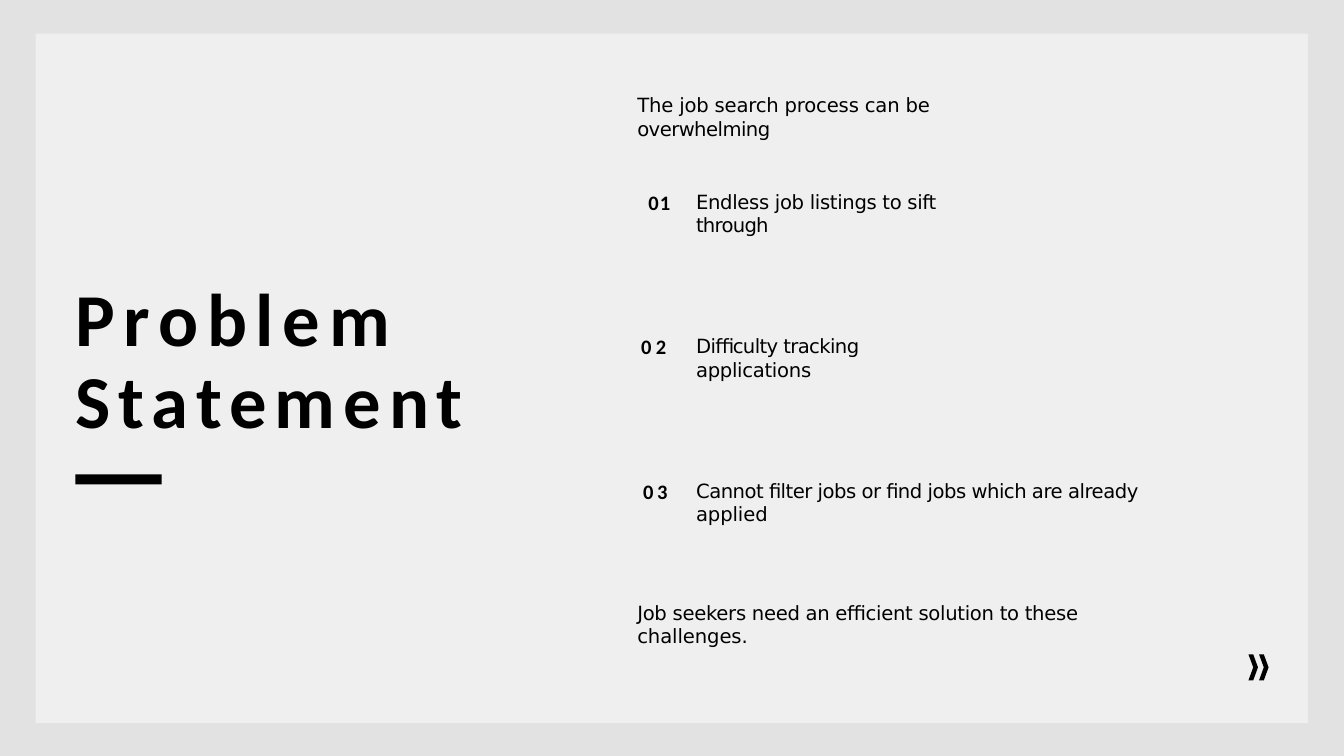
from pptx import Presentation
from pptx import util as u
from pptx.dml.color import RGBColor
from pptx.enum import shapes, text

BORDER = RGBColor(0xE2, 0xE2, 0xE2)
PANEL = RGBColor(0xEF, 0xEF, 0xEF)
INK = RGBColor(0, 0, 0)
HEADING_FONT = "Calibri"
BODY_FONT = "DejaVu Sans"

TEXT_LEFT = 24.06
ITEM_LEFT = 26.28
NUMBER_RIGHT = 25.6
FIRST_ROW, ROW_PITCH = 7.14, 5.46

# Text is a list of (words, letter spacing in points).
TITLE = [("Problem ", 9.4), ("Statement", 8.7)]
OPENING = [("The job search process can be ", -0.2), ("overwhelming", -0.6)]
CLOSING = [("Job seekers need an efficient solution to these ", -0.3),
           ("challenges.", -0.1)]
# number, its left edge, item, item width
PROBLEMS = [
    ([("01", 1.1)], 24.48,
     [("Endless job listings to sift ", -0.35), ("through", -0.8)], 11.7),
    ([("02", 4.8)], 24.2,
     [("Difficulty tracking ", -0.65), ("applications", -0.3)], 10.5),
    ([("03", 3.8)], 24.28,
     [("Cannot filter jobs or find jobs which are already ", -0.5),
      ("applied", -0.1)], 19.2),
]


def write(box, pieces, *, size, font=BODY_FONT, bold=False,
          before=1.0, line=None, inset=0.03):
    frame = box.text_frame
    frame.word_wrap = True
    frame.auto_size = text.MSO_AUTO_SIZE.NONE
    frame.vertical_anchor = text.MSO_ANCHOR.TOP
    frame.margin_left = u.Cm(0.03)
    frame.margin_right = frame.margin_bottom = 0
    frame.margin_top = u.Cm(inset)
    para = frame.paragraphs[0]
    para.alignment = text.PP_ALIGN.LEFT
    para.space_before = u.Pt(before)
    if line:
        para.line_spacing = u.Pt(line)
    for words, spacing in pieces:
        span = para.add_run()
        span.text = words
        span.font.name = font
        span.font.size = u.Pt(size)
        span.font.bold = bold
        span.font.color.rgb = INK
        span.font._element.set("spc", str(round(spacing * 100)))


class SlideBuilder:
    def __init__(self, deck):
        self.slide = deck.slides.add_slide(deck.slide_layouts[5])
        fill = self.slide.background.fill
        fill.solid()
        fill.fore_color.rgb = BORDER

    def paint(self, shape, color):
        shape.fill.solid()
        shape.fill.fore_color.rgb = color
        shape.line.fill.background()
        shape.shadow.inherit = False

    def rectangle(self, left, top, width, height, color):
        shape = self.slide.shapes.add_shape(
            shapes.MSO_SHAPE.RECTANGLE,
            *map(u.Cm, (left, top, width, height)))
        self.paint(shape, color)

    def title(self, pieces, left, top, width, height):
        """Format the title and bring it in front of what is drawn so far."""
        box = self.slide.shapes.title
        box.left, box.top, box.width, box.height = map(
            u.Cm, (left, top, width, height))
        write(box, pieces, size=80, font=HEADING_FONT, bold=True,
              before=10.2, line=87.8, inset=0.36)
        self.slide.shapes._spTree.append(box._element)

    def label(self, pieces, left, top, width, **style):
        box = self.slide.shapes.add_textbox(
            *map(u.Cm, (left, top, width, 0.98)))
        write(box, pieces, **style)

    def chevrons(self, left, top, count=2, step=0.4):
        """Draw a row of right-pointing chevrons as one shape."""
        outline = [(0.36, 0.49), (0.18, 0), (0, 0),
                   (0.18, 0.49), (0, 0.98), (0.18, 0.98)]
        builder = None
        for index in range(count):
            points = [(u.Cm(left + index * step + x), u.Cm(top + y))
                      for x, y in outline]
            if builder is None:
                builder = self.slide.shapes.build_freeform(*points[0])
            else:
                builder.move_to(*points[0])
            builder.add_line_segments(points[1:], close=True)
        self.paint(builder.convert_to_shape(), INK)


def main():
    deck = Presentation()
    deck.slide_width, deck.slide_height = u.Cm(50.8), u.Cm(28.58)
    page = SlideBuilder(deck)

    page.rectangle(1.35, 1.27, 48.1, 26.06, PANEL)
    page.title(TITLE, 2.82, 10.21, 15.29, 6.55)
    page.rectangle(2.85, 17.93, 3.26, 0.38, INK)

    page.label(OPENING, TEXT_LEFT, 3.49, 16.08, size=21)
    for row, (number, left, item, width) in enumerate(PROBLEMS):
        top = FIRST_ROW + row * ROW_PITCH
        page.label(number, left, top, NUMBER_RIGHT - left, size=22,
                   font=HEADING_FONT, bold=True)
        page.label(item, ITEM_LEFT, top, width, size=21)
    page.label(CLOSING, TEXT_LEFT, 22.68, 20.75, size=21)

    page.chevrons(47.19, 24.74)
    deck.save("out.pptx")


if __name__ == "__main__":
    main()
